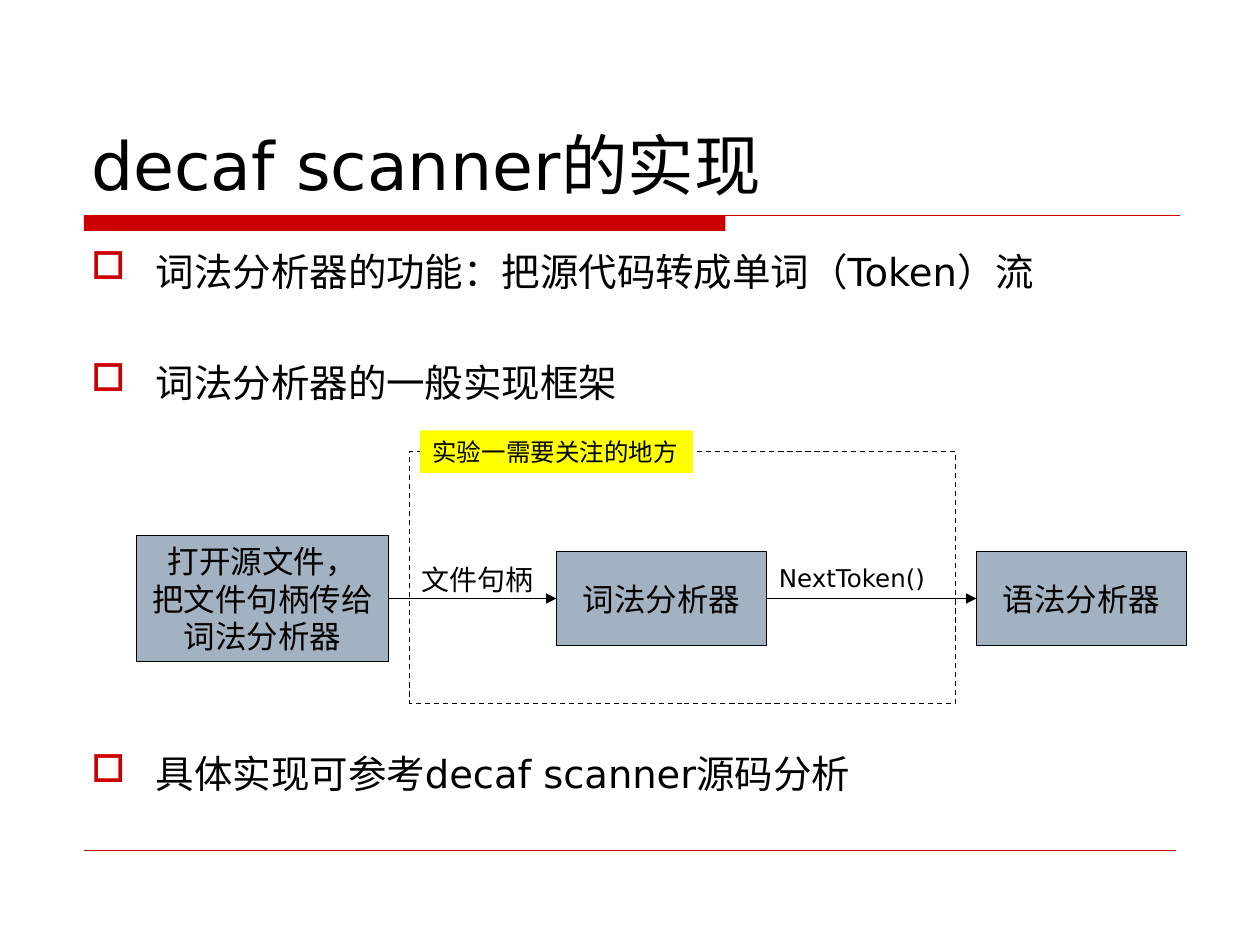
from dataclasses import dataclass
from typing import Optional

from lxml import etree
from pptx import Presentation
from pptx.dml.color import RGBColor
from pptx.enum import dml, shapes, text
from pptx.oxml import ns
from pptx.util import Pt


@dataclass(frozen=True)
class Theme:
    font: str = "DejaVu Sans"
    ink: str = "000000"
    accent: str = "CC0000"
    box: str = "A3B2C1"
    highlight: str = "FFFF00"
    title: float = 38
    body: float = 22
    step: float = 18
    handle: float = 16
    note: float = 14
    line: float = 0.75
    hairline: float = 0.25


@dataclass(frozen=True)
class Area:
    left: float
    top: float
    width: float
    height: float

    @property
    def right(self) -> float:
        return self.left + self.width

    def lengths(self) -> tuple:
        return Pt(self.left), Pt(self.top), Pt(self.width), Pt(self.height)


@dataclass(frozen=True)
class Step:
    area: Area
    label: str


@dataclass(frozen=True)
class Label:
    area: Area
    label: str
    size: float
    fill: Optional[str] = None


@dataclass(frozen=True)
class Bullet:
    label: str
    before: float


THEME = Theme()
FLOW_Y = 342
TITLE = Area(45, 24, 630, 96)
BODY = Area(45, 138, 630, 336)
FOCUS = Area(234, 258, 312, 144)

BULLETS = [
    Bullet("词法分析器的功能：把源代码转成单词（Token）流", 5.5),
    Bullet("词法分析器的一般实现框架", 37.2),
    Bullet("具体实现可参考decaf scanner源码分析", 197.2),
]


def step(left: float, width: float, height: float, label: str) -> Step:
    """A step centred vertically on the flow line."""
    return Step(Area(left, FLOW_Y - height / 2, width, height), label)


STEPS = [
    step(78, 144, 72, "打开源文件，\n把文件句柄传给\n词法分析器"),
    step(318, 120, 54, "词法分析器"),
    step(558, 120, 54, "语法分析器"),
]
LABELS = [
    Label(Area(234, 318, 84, 26.5), "文件句柄", THEME.handle),
    Label(Area(438, 318, 108, 24.25), "NextToken()", THEME.note),
    Label(Area(240, 246, 156, 24.25), "实验一需要关注的地方", THEME.note,
          THEME.highlight),
]


def rgb(value: str) -> RGBColor:
    return RGBColor.from_string(value)


def write(tf, content: str, size: float, align=text.PP_ALIGN.LEFT) -> None:
    tf.text = content
    for p in tf.paragraphs:
        p.alignment = align
        for r in p.runs:
            r.font.name = THEME.font
            r.font.size = Pt(size)
            r.font.color.rgb = rgb(THEME.ink)


def add_text(slide, area: Area, content: str, size: float):
    sp = slide.shapes.add_textbox(*area.lengths())
    sp.text_frame.word_wrap = True
    write(sp.text_frame, content, size)
    return sp


def add_rect(slide, area: Area, fill: Optional[str], line: Optional[str]):
    sp = slide.shapes.add_shape(shapes.MSO_SHAPE.RECTANGLE, *area.lengths())
    sp.shadow.inherit = False
    if fill:
        sp.fill.solid()
        sp.fill.fore_color.rgb = rgb(fill)
    else:
        sp.fill.background()
    if line:
        sp.line.color.rgb = rgb(line)
        sp.line.width = Pt(THEME.line)
    else:
        sp.line.fill.background()
    return sp


def add_line(slide, left: float, right: float, y: float, color: str,
             width: float = THEME.line, arrow: bool = False) -> None:
    cx = slide.shapes.add_connector(shapes.MSO_CONNECTOR.STRAIGHT,
                                    Pt(left), Pt(y), Pt(right), Pt(y))
    cx.line.color.rgb = rgb(color)
    cx.line.width = Pt(width)
    if arrow:
        etree.SubElement(cx.line._get_or_add_ln(), ns.qn("a:tailEnd"),
                         type="triangle")
    etree.SubElement(cx._element.spPr, ns.qn("a:effectLst"))


def add_bullets(slide, area: Area, bullets: list[Bullet]) -> None:
    sp = add_text(slide, area, "\n".join(b.label for b in bullets), THEME.body)
    for p, bullet in zip(sp.text_frame.paragraphs, bullets):
        p.space_before = Pt(bullet.before)
        props = p._p.get_or_add_pPr()
        props.set("marL", str(Pt(37)))
        props.set("indent", str(-Pt(37)))
        color = etree.SubElement(props, ns.qn("a:buClr"))
        etree.SubElement(color, ns.qn("a:srgbClr"), val=THEME.accent)
        etree.SubElement(props, ns.qn("a:buChar"), char="□")


def add_step(slide, item: Step) -> None:
    sp = add_rect(slide, item.area, THEME.box, THEME.ink)
    tf = sp.text_frame
    tf.word_wrap = False
    tf.vertical_anchor = text.MSO_ANCHOR.MIDDLE
    write(tf, item.label, THEME.step, text.PP_ALIGN.CENTER)


def add_label(slide, item: Label) -> None:
    sp = add_text(slide, item.area, item.label, item.size)
    if item.fill:
        sp.fill.solid()
        sp.fill.fore_color.rgb = rgb(item.fill)


def main() -> None:
    prs = Presentation()
    prs.slide_width, prs.slide_height = Pt(720), Pt(540)
    slide = prs.slides.add_slide(prs.slide_layouts[6])

    add_rect(slide, Area(48, 123, 366.5, 9), THEME.accent, None)
    add_line(slide, 48, 674.5, 123, THEME.accent)
    add_line(slide, 48, 672, 486, THEME.accent, THEME.hairline)

    focus = add_rect(slide, FOCUS, None, THEME.ink)
    focus.line.dash_style = dml.MSO_LINE.DASH

    title = add_text(slide, TITLE, "decaf scanner的实现", THEME.title)
    title.text_frame.vertical_anchor = text.MSO_ANCHOR.BOTTOM
    add_bullets(slide, BODY, BULLETS)

    for item in STEPS:
        add_step(slide, item)
    for start, end in zip(STEPS, STEPS[1:]):
        add_line(slide, start.area.right, end.area.left, FLOW_Y, THEME.ink,
                 arrow=True)
    for item in LABELS:
        add_label(slide, item)

    prs.save("out.pptx")


if __name__ == "__main__":
    main()
